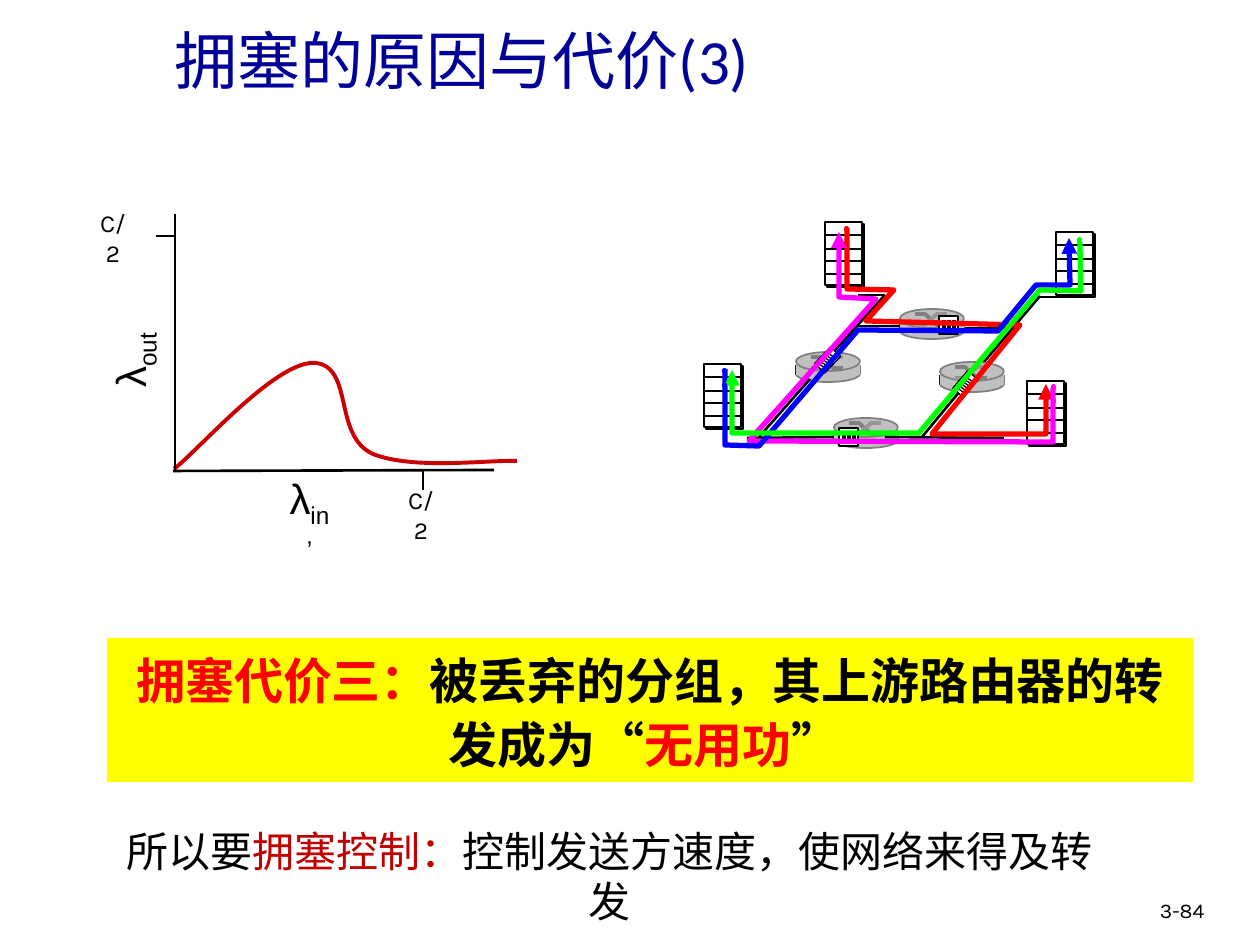
from lxml import etree
from pptx import Presentation
from pptx.dml.color import RGBColor
from pptx.enum.shapes import MSO_CONNECTOR, MSO_SHAPE
from pptx.enum.text import MSO_ANCHOR, PP_ALIGN
from pptx.oxml.ns import qn
from pptx.util import Pt

PX = 914400 / 126
RECT, OVAL, STRAIGHT = MSO_SHAPE.RECTANGLE, MSO_SHAPE.OVAL, MSO_CONNECTOR.STRAIGHT
LEFT, CENTER = PP_ALIGN.LEFT, PP_ALIGN.CENTER
TOP, MIDDLE = MSO_ANCHOR.TOP, MSO_ANCHOR.MIDDLE

BLACK = RGBColor(0x00, 0x00, 0x00)
WHITE = RGBColor(0xFF, 0xFF, 0xFF)
SILVER = RGBColor(0xC0, 0xC0, 0xC0)
GRAY = RGBColor(0x96, 0x96, 0x96)
DARK_GRAY = RGBColor(0x80, 0x80, 0x80)
RED = RGBColor(0xFF, 0x00, 0x00)
MAGENTA = RGBColor(0xFF, 0x00, 0xFF)
BLUE = RGBColor(0x00, 0x00, 0xFF)
GREEN = RGBColor(0x00, 0xFF, 0x00)
YELLOW = RGBColor(0xFF, 0xFF, 0x00)
CURVE_RED = RGBColor(0xCC, 0x00, 0x00)
DARK_RED = RGBColor(0xC0, 0x00, 0x00)
NAVY = RGBColor(0x00, 0x00, 0x99)
CJK = "Noto Sans CJK SC"

prs = Presentation()
prs.slide_width, prs.slide_height = round(1260 * PX), round(945 * PX)
slide = prs.slides.add_slide(prs.slide_layouts[6])
shapes = slide.shapes


def draw(kind, a, b, c, d, fill=None, line=None, width=0.75):
    """Add a preset shape at left, top, width, height, or a line from (a, b) to (c, d)."""
    box = [round(v * PX) for v in (a, b, c, d)]
    if kind is STRAIGHT:  # its number equals that of RECT, so compare identity
        sp = shapes.add_connector(kind, *box)
        etree.SubElement(sp._element.spPr, qn("a:effectLst"))
    else:
        sp = shapes.add_shape(kind, *box)
        sp.shadow.inherit = False
        sp.fill.solid()
        sp.fill.fore_color.rgb = fill
    if line is None:
        sp.line.fill.background()
    else:
        sp.line.color.rgb = line
        sp.line.width = Pt(width)
    return sp


def write(runs, x, y, w, h, size, font, sp=None, align=LEFT, anchor=TOP, wrap=True,
          pad=(13, 13), bold=False, spacing=None, rotation=0):
    """Write runs of (text, colour, baseline percent) in a new text box, or in sp."""
    sp = sp or shapes.add_textbox(*[round(v * PX) for v in (x, y, w, h)])
    sp.rotation = rotation
    tf = sp.text_frame
    tf.word_wrap, tf.vertical_anchor = wrap, anchor
    tf.margin_left, tf.margin_right = [round(v * PX) for v in pad]
    p = tf.paragraphs[0]
    p.alignment, p.line_spacing = align, spacing
    for text, color, baseline in runs:
        r = p.add_run()
        r.text = text
        r.font.size, r.font.name, r.font.bold = Pt(size), font, bold
        r.font.color.rgb = color
        rPr = r._r.get_or_add_rPr()
        etree.SubElement(rPr, qn("a:ea"), typeface=CJK)
        if baseline:
            rPr.set("baseline", str(baseline * 1000))


write([("3-84", BLACK, 0)], 1147, 891, 93, 38, 12, "Karla")

# Links below the hosts and routers
for link in [(885, 295, 828, 358), (885, 295, 858, 295), (834, 437, 747, 438),
             (901, 326, 858, 326), (1012, 328, 965, 328), (1040, 296, 961, 389),
             (1063, 297, 1037, 297)]:
    draw(STRAIGHT, *link, line=BLACK, width=1.5)

# Hosts
for x, y in [(825, 222), (704, 364), (1056, 232), (1027, 381)]:
    draw(RECT, x + 2, y + 2, 37, 63, GRAY, BLACK)
    draw(RECT, x, y, 37, 63, WHITE, BLACK)
    for dy in (13, 27, 39, 52):
        draw(STRAIGHT, x, y + dy, x + 37, y + dy, line=BLACK)

# Routers
for x, y in [(900, 309), (940, 362), (834, 418), (796, 352)]:
    draw(OVAL, x, y + 14, 64, 16, SILVER, DARK_GRAY, 1)
    draw(STRAIGHT, x, y + 13, x, y + 23, line=BLACK, width=1)
    draw(STRAIGHT, x + 64, y + 13, x + 64, y + 23, line=DARK_GRAY, width=1)
    draw(RECT, x, y + 13, 15, 10, SILVER)
    draw(RECT, x + 45, y + 13, 19, 10, SILVER)
    draw(OVAL, x, y, 64, 19, SILVER, DARK_GRAY, 1)
    for color, start, end in [(DARK_GRAY, y + 5, y + 16), (GRAY, y + 16, y + 5)]:
        draw(STRAIGHT, x + 15, start, x + 26, start, line=color, width=2.25)
        draw(STRAIGHT, x + 36, end, x + 47, end, line=color, width=2.25)
        draw(STRAIGHT, x + 25, start, x + 37, end, line=color, width=2.25)

# Links above the routers
for link in [(1004, 438, 885, 437), (960, 391, 922, 437), (810, 379, 759, 437)]:
    draw(STRAIGHT, *link, line=BLACK, width=1.5)

# Router queues: upright, then slanted
for x, y in [(939, 316), (839, 428)]:
    draw(RECT, x, y, 19, 18, WHITE, BLACK)
    for dx in (4, 6, 9, 11, 14, 16):
        draw(STRAIGHT, x + dx, y + 4, x + dx, y + 14, line=BLACK)
for cx, cy, angle in [(965, 384, 130.7), (827, 360, 133.8)]:
    draw(RECT, cx - 11, cy - 7, 23, 14, WHITE, BLACK).rotation = angle
    for d in range(0, 12, 2):
        draw(STRAIGHT, cx - 2 + d, cy + 8 - d, cx - 9 + d, cy + 3 - d, line=BLACK)

# Flows between hosts, and the throughput curve
flows = [
    (RED, 3, "tailEnd", [(847, 228), (847, 289), (894, 290), (866, 321), (1020, 325),
                         (932, 434), (1046, 434), (1046, 384)]),
    (MAGENTA, 3, "tailEnd", [(1053, 388), (1053, 442), (749, 441), (876, 299),
                             (839, 297), (839, 232)]),
    (BLUE, 3, "tailEnd", [(725, 369), (725, 445), (759, 446), (858, 330), (998, 331),
                          (1036, 285), (1070, 285), (1069, 238)]),
    (GREEN, 3, "headEnd", [(732, 370), (732, 433), (919, 433), (1040, 290),
                           (1081, 291), (1080, 242)]),
    (CURVE_RED, 2.25, None, [(174, 469), (198, 451), (277, 359), (316, 363),
                             (354, 368), (333, 436), (373, 454), (413, 470),
                             (486, 460), (517, 461)]),
]
for color, width, arrow, points in flows:
    builder = shapes.build_freeform(*points[0], scale=PX)
    builder.add_line_segments(points[1:], close=False)
    sp = builder.convert_to_shape()
    sp.shadow.inherit = False
    sp.fill.background()
    sp.line.color.rgb = color
    sp.line.width = Pt(width)
    if arrow:
        etree.SubElement(sp.line._get_or_add_ln(), qn("a:" + arrow), type="triangle")
    else:
        # Every three points after the first make one Bezier segment
        path = sp._element.find(".//" + qn("a:path"))
        for i, segment in enumerate(path.findall(qn("a:lnTo"))):
            if i % 3 == 0:
                bezier = etree.SubElement(path, qn("a:cubicBezTo"))
            bezier.append(segment[0])
            path.remove(segment)

for color, x, y in [(RED, 844, 226), (BLUE, 722, 368), (MAGENTA, 1051, 384),
                    (GREEN, 1077, 237)]:
    for dy in (0, 14):
        draw(OVAL, x, y + dy, 5, 6, color)

# Axes, ticks and labels of the throughput chart
for axis in [(175, 214, 175, 471), (173, 471, 494, 470), (156, 236, 174, 236),
             (423, 471, 423, 490)]:
    draw(STRAIGHT, *axis, line=BLACK, width=1.5)
for x, y in [(88, 202), (396, 479)]:
    write([("C/2", BLACK, 0)], x, y, 63, 42, 14, "Karla", align=CENTER, pad=(8, 21))
write([("λ", BLACK, 0), ("out", BLACK, -25)], 74, 329, 111, 63, 24, "Arial",
      align=CENTER, rotation=270)
write([("λ", BLACK, 0), ("in", BLACK, -25), ("’", BLACK, 30)], 275, 466, 76, 63, 24,
      "Arial", align=CENTER, wrap=False, pad=(13, 20))

write([("拥塞的原因与代价(3)", NAVY, 0)], 162, -1, 1071, 120, 36, "Calibri", anchor=MIDDLE)
banner = (107, 638, 1086, 144)
write([("拥塞代价三：", RED, 0), ("被丢弃的分组，其上游路由器的转发成为“", BLACK, 0),
       ("无用功", RED, 0), ("” ", BLACK, 0)], *banner, 28, CJK,
      sp=draw(RECT, *banner, YELLOW), align=CENTER, bold=True, spacing=1.1)
write([("所以要", BLACK, 0), ("拥塞控制：", DARK_RED, 0),
       ("控制发送方速度，使网络来得及转发", BLACK, 0)], 94, 819, 1043, 63, 24, "Calibri",
      align=CENTER, wrap=False, pad=(13, 25))

prs.save("out.pptx")
